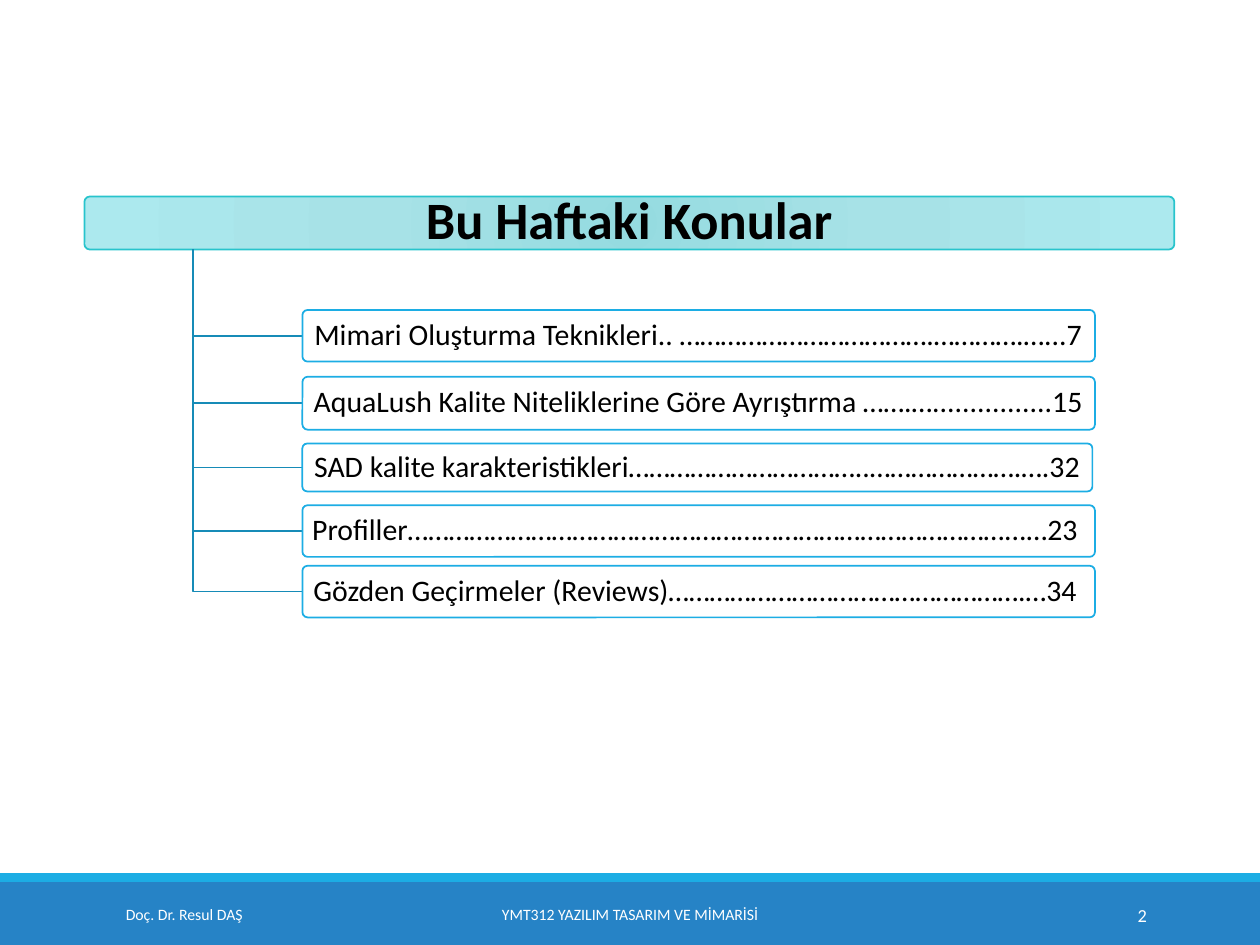
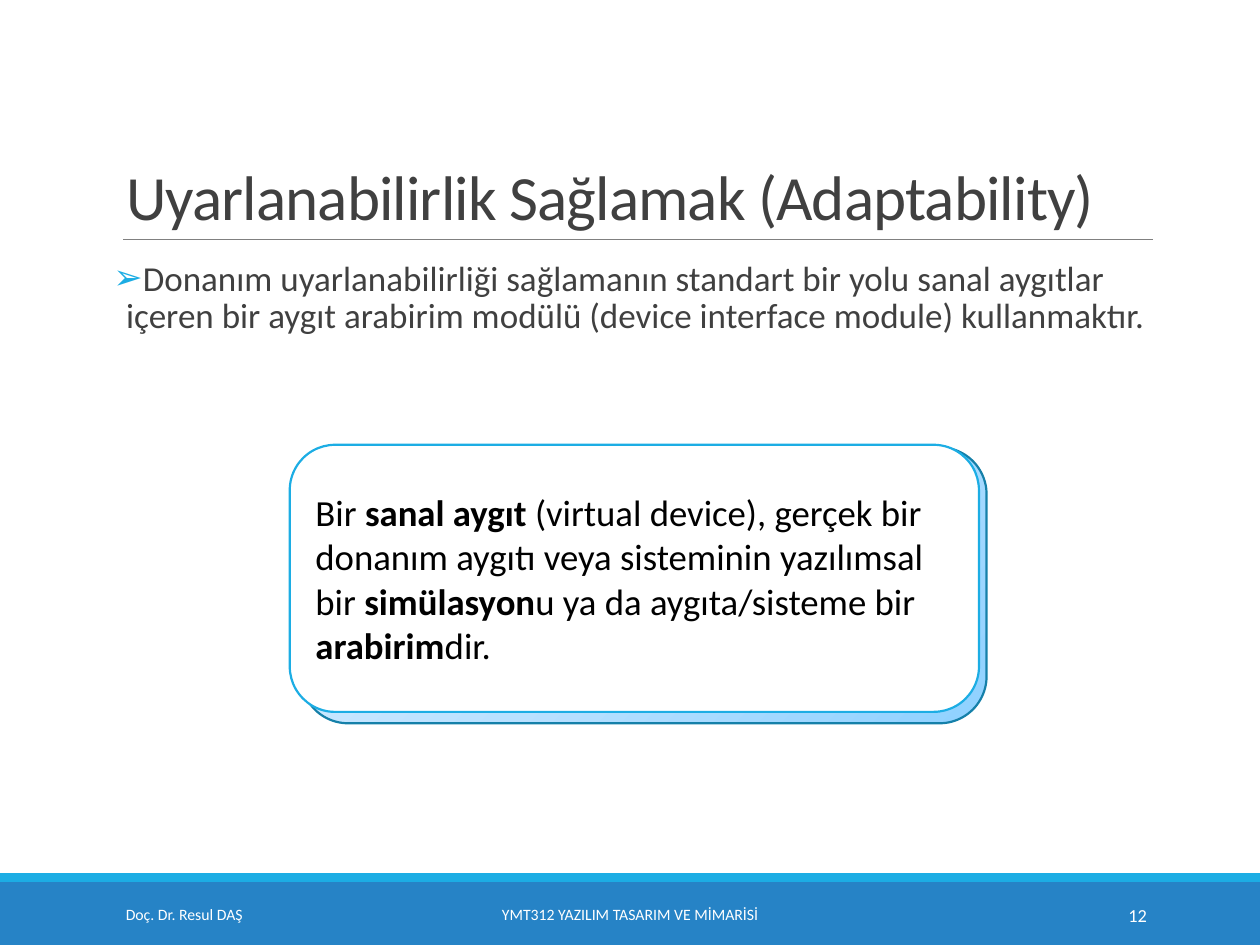
from dataclasses import dataclass

from lxml.etree import SubElement
from pptx import Presentation
from pptx.dml.color import RGBColor
from pptx.enum.shapes import MSO_CONNECTOR, MSO_SHAPE
from pptx.enum.text import MSO_ANCHOR, MSO_AUTO_SIZE, PP_ALIGN
from pptx.oxml.ns import qn
from pptx.util import Inches, Pt

BLUE = RGBColor(0x26, 0x83, 0xC6)
SKY = RGBColor(0x1C, 0xAD, 0xE4)
SEA = RGBColor(0x16, 0x8B, 0xB7)
DEEP = RGBColor(0x15, 0x80, 0xA9)
TEAL = RGBColor(0x28, 0xC4, 0xCC)
GRAY = RGBColor(0x80, 0x80, 0x80)
DARK = RGBColor(0x40, 0x40, 0x40)
BLACK = RGBColor(0, 0, 0)
WHITE = RGBColor(0xFF, 0xFF, 0xFF)
MINT = ((0, "95DBE0"), (45, "A7E2E7"), (100, "ACE9EE"))
HAZE = ((0, "8FD1FF"), (50, "BAE1FF"), (100, "DDEFFF"))

FONT = "Calibri"
WIDE, HIGH = Inches(10), Inches(7.5)
COLS, ROWS = 100, 75
LEFT, MID, RIGHT = PP_ALIGN.LEFT, PP_ALIGN.CENTER, PP_ALIGN.RIGHT


@dataclass(frozen=True)
class Area:
    x: float
    y: float
    w: float
    h: float

    def place(self) -> tuple:
        return col(self.x), row(self.y), col(self.w), row(self.h)


@dataclass(frozen=True)
class Style:
    size: float
    color: RGBColor = BLACK
    align: PP_ALIGN = LEFT
    anchor: MSO_ANCHOR = MSO_ANCHOR.MIDDLE
    pad: tuple = (0.1, 0.05)
    space: float = 1.0
    bold: bool = False


@dataclass(frozen=True)
class Topic:
    text: str
    y: float
    h: float
    w: float = 62.9


HEAD = Style(30, align=MID, pad=(0.06, 0.04), space=0.9, bold=True)
ITEM = Style(17, align=MID, pad=(0.04, 0.02), space=0.9)
TITLE = Style(36, DARK, anchor=MSO_ANCHOR.BOTTOM, space=0.85)
BODY = Style(20, DARK, anchor=MSO_ANCHOR.TOP, pad=(0, 0.05), space=0.9)
NOTE = Style(21)

BANNER = Area(6.7, 15.6, 86.5, 4.2)
TRUNK, BRANCH = 15.3, 24
TOPICS = (
    Topic("Mimari Oluşturma Teknikleri.. ……………………………….………….…...7", 24.6, 4.1),
    Topic("AquaLush Kalite Niteliklerine Göre Ayrıştırma …….…................15", 29.9, 4.2),
    Topic("SAD kalite karakteristikleri……………………………..………………….….32", 35.2, 3.8, 62.7),
    Topic("Profiller……………………………………………………………………………...…23 ", 40.1, 4.1),
    Topic("Gözden Geçirmeler (Reviews)…………………………………………….…34 ", 44.9, 4.1),
)
NOTES = (
    ("Bir ", False),
    ("sanal aygıt ", True),
    ("(virtual device), gerçek bir donanım aygıtı veya sisteminin yazılımsal bir ", False),
    ("simülasyon", True),
    ("u ya da aygıta/sisteme bir ", False),
    ("arabirim", True),
    ("dir.", False),
)


def col(n: float) -> int:
    return round(WIDE * n / COLS)


def row(n: float) -> int:
    return round(HIGH * n / ROWS)


def apply(thing, form: dict) -> None:
    for name, value in form.items():
        setattr(thing, name, value)


def write(shape, runs: tuple, style: Style):
    side, edge = map(Inches, style.pad)
    frame = shape.text_frame
    apply(frame, dict(word_wrap=True, auto_size=MSO_AUTO_SIZE.NONE,
                      vertical_anchor=style.anchor,
                      margin_left=side, margin_right=side,
                      margin_top=edge, margin_bottom=edge))
    para = frame.paragraphs[0]
    apply(para, dict(alignment=style.align, line_spacing=style.space, space_before=Pt(0)))
    for text, bold in runs:
        run = para.add_run()
        run.text = text
        apply(run.font, dict(name=FONT, size=Pt(style.size), bold=bold))
        run.font.color.rgb = style.color
    return para


def label(shape, text: str, style: Style):
    return write(shape, ((text, style.bold),), style)


def move(shape, area: Area) -> None:
    apply(shape, dict(zip(("left", "top", "width", "height"), area.place())))


def blend(shape, stops: tuple, angle: int | None = None) -> None:
    shape.fill.gradient()
    grad = shape._element.spPr.find(qn("a:gradFill"))
    for part in list(grad):
        grad.remove(part)
    group = SubElement(grad, qn("a:gsLst"))
    for share, color in stops:
        stop = SubElement(group, qn("a:gs"), pos=str(share * 1000))
        SubElement(stop, qn("a:srgbClr"), val=color)
    if angle is None:
        ring = SubElement(grad, qn("a:path"), {"path": "circle"})
        SubElement(ring, qn("a:fillToRect"), dict.fromkeys("ltrb", "100000"))
    else:
        SubElement(grad, qn("a:lin"), ang=str(angle * 60000), scaled="0")


def stroke(shape, color: RGBColor, width: float) -> None:
    shape.line.color.rgb = color
    shape.line.width = Pt(width)


def block(slide, area: Area, fill: RGBColor | None = None, line: RGBColor | None = None,
          width: float = 1, round_by: float | None = None):
    kind = MSO_SHAPE.RECTANGLE if round_by is None else MSO_SHAPE.ROUNDED_RECTANGLE
    shape = slide.shapes.add_shape(kind, *area.place())
    shape.shadow.inherit = False
    if round_by is not None:
        shape.adjustments[0] = round_by
    if fill is not None:
        shape.fill.solid()
        shape.fill.fore_color.rgb = fill
    if line is None:
        shape.line.fill.background()
    else:
        stroke(shape, line, width)
    return shape


def footer(slide, page: int) -> None:
    block(slide, Area(0, 70, COLS, 5), BLUE)
    block(slide, Area(0, 69.3, COLS, 0.7), SKY)
    for x, w, text, size, align in (
        (9, 20.3, "Doç. Dr. Resul DAŞ", 9, LEFT),
        (30.2, 39.6, "YMT312 YAZILIM TASARIM VE MİMARİSİ", 9, MID),
        (81.2, 10.8, str(page), 10.5, RIGHT),
    ):
        box = slide.shapes.add_textbox(*Area(x, 70.6, w, 4).place())
        label(box, text, Style(size, WHITE, align))


def elbow(slide, y: float) -> None:
    base = row(BANNER.y + BANNER.h)
    path = slide.shapes.build_freeform(col(TRUNK), base)
    path.add_line_segments(((col(TRUNK), row(y)), (col(BRANCH), row(y))), close=False)
    shape = path.convert_to_shape()
    shape.shadow.inherit = False
    shape.fill.background()
    stroke(shape, SEA, 1)


def rule(slide) -> None:
    line = slide.shapes.add_connector(MSO_CONNECTOR.STRAIGHT, col(9.8), row(19), col(91.5), row(19))
    stroke(line, GRAY, 0.5)
    SubElement(line._element.spPr, qn("a:effectLst"))


def bullet(para) -> None:
    props = para._p.get_or_add_pPr()
    apply_pad = dict(marL=Inches(0.1), indent=-Inches(0.1))
    for name, value in apply_pad.items():
        props.set(name, str(value))
    tint = SubElement(props, qn("a:buClr"))
    SubElement(tint, qn("a:srgbClr"), val=str(SKY))
    SubElement(props, qn("a:buChar"), char="➢")


def agenda(deck) -> None:
    slide = deck.slides.add_slide(deck.slide_layouts[5])
    footer(slide, 2)
    blend(block(slide, BANNER, line=TEAL, round_by=0.1), MINT)
    title = slide.shapes.title
    move(title, BANNER)
    label(title, "Bu Haftaki Konular", HEAD)
    slide.shapes._spTree.append(title._element)
    for topic in TOPICS:
        elbow(slide, topic.y + topic.h / 2)
        area = Area(BRANCH, topic.y, topic.w, topic.h)
        label(block(slide, area, WHITE, SKY, round_by=0.1), topic.text, ITEM)


def adapt(deck) -> None:
    slide = deck.slides.add_slide(deck.slide_layouts[1])
    footer(slide, 12)
    rule(slide)
    title, body = slide.placeholders
    move(title, Area(9, 3.1, 82.5, 15.9))
    para = label(title, "Uyarlanabilirlik Sağlamak (Adaptability)", TITLE)
    para.runs[0].font._element.set("spc", "-50")
    move(body, Area(9, 20.2, 82.5, 44))
    bullet(label(body, "Donanım uyarlanabilirliği sağlamanın standart bir yolu sanal aygıtlar "
                       "içeren bir aygıt arabirim modülü (device interface module) kullanmaktır.", BODY))
    back = block(slide, Area(23.9, 35.5, 54.4, 21.9), line=DEEP, width=1.25, round_by=0.17)
    blend(back, HAZE, 225)
    card = block(slide, Area(23, 35.3, 54.7, 21.2), WHITE, SKY, 1.25, 0.17)
    write(card, NOTES, NOTE)


def main() -> None:
    deck = Presentation()
    apply(deck, dict(slide_width=WIDE, slide_height=HIGH))
    agenda(deck)
    adapt(deck)
    deck.save("out.pptx")


if __name__ == "__main__":
    main()
